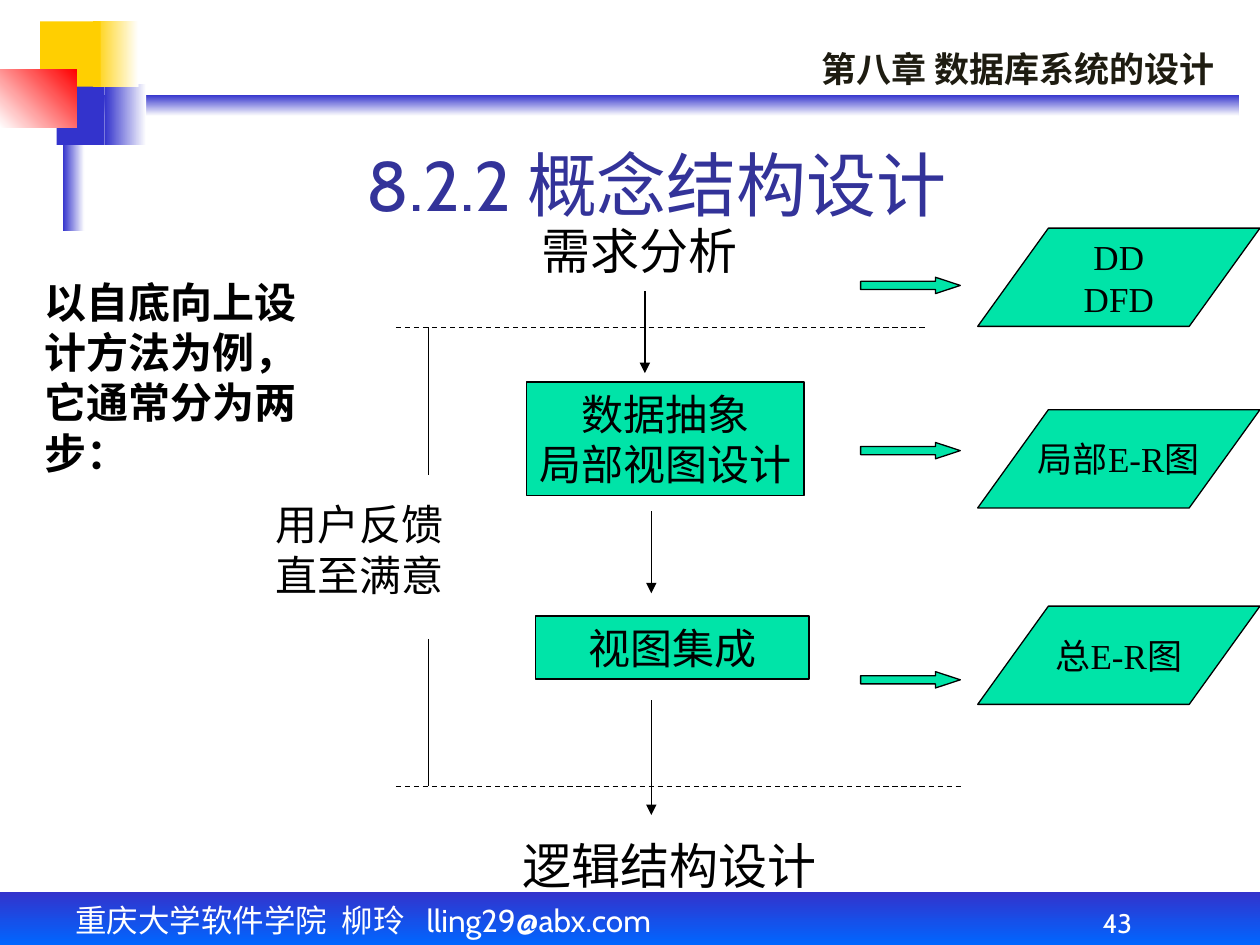
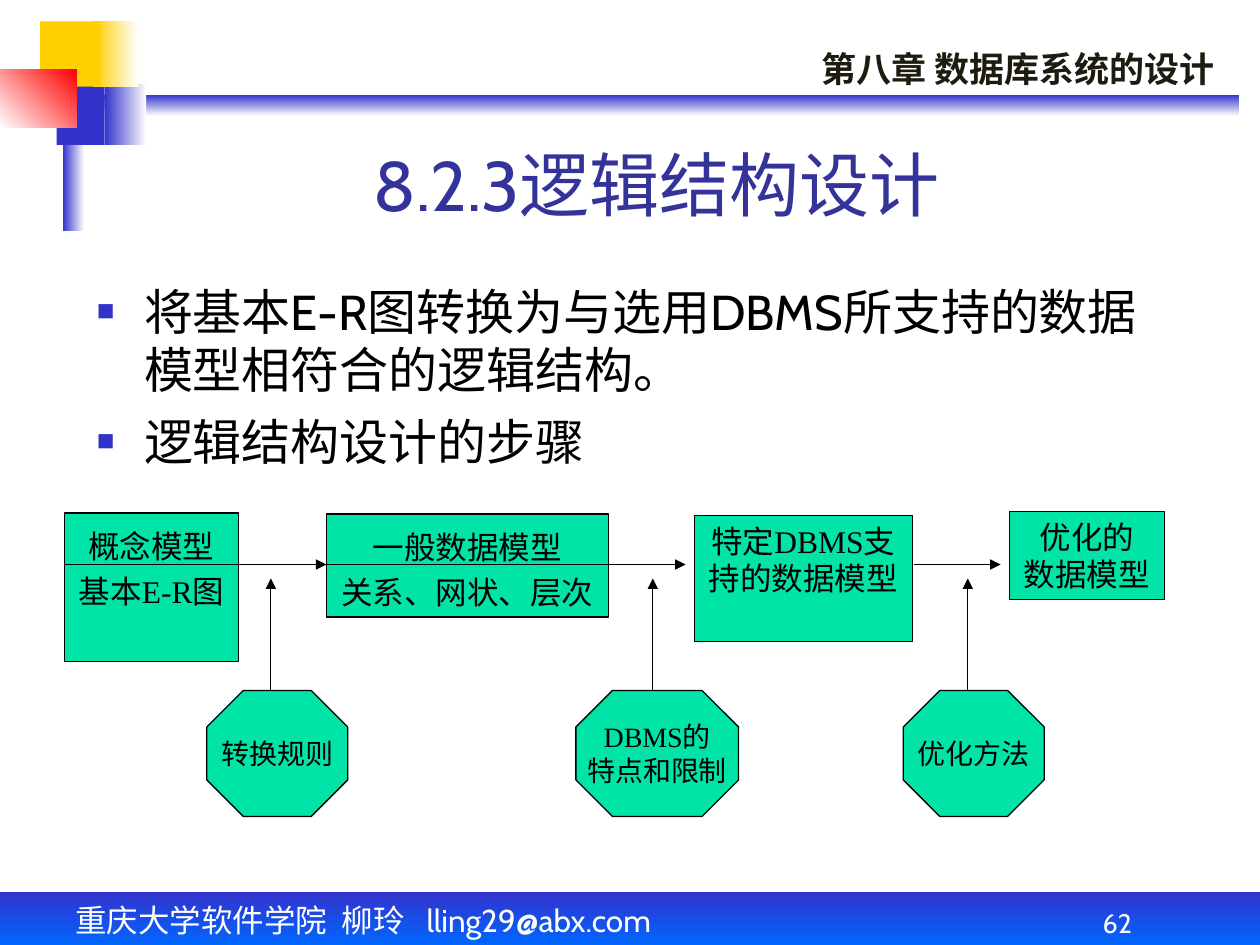
from dataclasses import dataclass

from lxml import etree
from pptx import Presentation
from pptx import util as u
from pptx.dml import color
from pptx.enum import dml, shapes, text
from pptx.oxml import ns

Cm = u.Cm
Kind = shapes.MSO_SHAPE
Align = text.PP_ALIGN
Anchor = text.MSO_ANCHOR


@dataclass(frozen=True)
class Theme:
    blue: str = "3333CC"
    sky: str = "0066FF"
    gold: str = "FFCF01"
    red: str = "FF0000"
    mint: str = "00E4A8"
    white: str = "FFFFFF"
    black: str = "000000"
    navy: str = "333399"
    brown: str = "1E1C11"
    sans: str = "Cabin"
    serif: str = "Times New Roman"
    title: float = 40
    body: float = 28
    step: float = 24
    head: float = 20
    label: float = 18
    small: float = 16
    page: float = 15.3
    hair: float = 0.75


T = Theme()


def rgb(ink):
    return color.RGBColor.from_string(ink)


def node(root, tag, **attrs):
    return etree.SubElement(root, ns.qn(tag), attrs)


def place(item, box):
    item.left, item.top, item.width, item.height = map(Cm, box)


def bullet(para):
    props = para._p.get_or_add_pPr()
    props.set("marL", str(Cm(0.95)))
    props.set("indent", str(-Cm(0.95)))
    node(node(props, "a:buClr"), "a:srgbClr", val=T.blue)
    node(props, "a:buSzPct", val="60000")
    node(props, "a:buChar", char="■")


def tabs(para, stops):
    group = node(para._p.get_or_add_pPr(), "a:tabLst")
    for stop in stops:
        node(group, "a:tab", pos=str(Cm(stop)), algn="l")


def write(item, words, size=T.step, face=T.serif, ink=T.black, bold=False,
          align=Align.LEFT, anchor=Anchor.TOP, wrap=True, lead=None,
          gap=0, mark=False, stops=()):
    frame = item.text_frame
    frame.auto_size = text.MSO_AUTO_SIZE.NONE
    frame.word_wrap = wrap
    frame.vertical_anchor = anchor
    for i, line in enumerate(words.split("\n")):
        para = frame.add_paragraph() if i else frame.paragraphs[0]
        if mark:
            bullet(para)
        if stops:
            tabs(para, stops)
        para.alignment = align
        para.space_before = u.Pt(gap if i else 0)
        if lead:
            para.line_spacing = lead
        run = para.add_run()
        run.text = line
        font = run.font
        font.name, font.size, font.bold = face, u.Pt(size), bold
        font.color.rgb = rgb(ink)


def label(slide, box, words, **form):
    item = slide.shapes.add_textbox(*map(Cm, box))
    write(item, words, **form)
    return item


def shape(slide, kind, box, fill=T.mint, edge=True, adjust=()):
    item = slide.shapes.add_shape(kind, *map(Cm, box))
    item.shadow.inherit = False
    item.fill.solid()
    item.fill.fore_color.rgb = rgb(fill)
    if edge:
        item.line.color.rgb = rgb(T.black)
        item.line.width = u.Pt(T.hair)
    else:
        item.line.fill.background()
    for i, value in enumerate(adjust):
        item.adjustments[i] = value
    return item


def node_box(slide, kind, box, words, adjust=(), **form):
    write(shape(slide, kind, box, adjust=adjust), words,
          align=Align.CENTER, **form)


def fade(slide, box, start, end, angle=0):
    item = shape(slide, Kind.RECTANGLE, box, edge=False)
    item.fill.gradient()
    item.fill.gradient_angle = angle
    for stop, ink in zip(item.fill.gradient_stops, (start, end)):
        stop.color.rgb = rgb(ink)
    return item


def line(slide, x1, y1, x2, y2, arrow=False, dash=False, width=T.hair):
    item = slide.shapes.add_connector(
        shapes.MSO_CONNECTOR.STRAIGHT, *map(Cm, (x1, y1, x2, y2)))
    item.line.color.rgb = rgb(T.black)
    item.line.width = u.Pt(width)
    if dash:
        item.line.dash_style = dml.MSO_LINE.DASH
    props = item.element.spPr
    if arrow:
        node(props.find(ns.qn("a:ln")), "a:tailEnd", type="triangle")
    node(props, "a:effectLst")


def brand(deck, slide):
    rect = Kind.RECTANGLE
    parts = [
        fade(slide, (1.47, 1.91, 23.5, 0.43), T.blue, T.white, 270),
        fade(slide, (2.11, 1.7, 0.84, 1.22), T.blue, T.white),
        fade(slide, (0, 17.98, 25.4, 1.07), T.blue, T.sky, 270),
        fade(slide, (1.27, 1.47, 0.43, 3.18), T.blue, T.white),
        shape(slide, rect, (1.14, 1.7, 0.97, 1.22), T.blue, edge=False),
        fade(slide, (1.88, 0.43, 0.91, 1.32), T.gold, T.white),
        shape(slide, rect, (0.81, 0.43, 1.22, 1.32), T.gold, edge=False),
        fade(slide, (0, 1.4, 1.55, 1.17), T.white, T.red, 45),
        label(slide, (1.27, 18.03, 14.17, 1.02),
              "重庆大学软件学院\t柳玲\tlling29@abx.com", size=T.label,
              face=T.sans, ink=T.white, stops=(5.37, 7.08)),
        label(slide, (16.31, 0.84, 8.69, 1.12), "第八章 数据库系统的设计",
              size=T.head, face=T.sans, ink=T.brown, bold=True),
    ]
    tree = deck.slide_master.shapes.element
    for i, part in enumerate(parts):
        part.element.nvSpPr.cNvPr.set("id", str(100 + i))
        tree.append(part.element)


def start(deck, layout, title, page):
    slide = deck.slides.add_slide(deck.slide_layouts[layout])
    place(slide.shapes.title, (3.18, 2.97, 20.12, 1.7))
    write(slide.shapes.title, title, size=T.title, face=T.sans, ink=T.navy,
          align=Align.CENTER, anchor=Anchor.BOTTOM)
    label(slide, (20.52, 17.98, 4.01, 1.07), page, size=T.page, face=T.sans,
          ink=T.white, align=Align.CENTER, anchor=Anchor.BOTTOM)
    return slide


def concept(slide):
    label(slide, (10.67, 4.32, 4.45, 1.45), "需求分析", size=T.body, wrap=False)
    label(slide, (10.29, 16.71, 6.43, 1.45), "逻辑结构设计",
          size=T.body, wrap=False)
    node_box(slide, Kind.RECTANGLE, (10.62, 7.7, 5.59, 2.29),
             "数据抽象\n局部视图设计", wrap=False)
    node_box(slide, Kind.RECTANGLE, (10.8, 12.42, 5.51, 1.27), "视图集成")
    for x, top, end in ((13, 5.87, 7.52), (13.13, 10.31, 11.96),
                        (13.13, 14.12, 16.43)):
        line(slide, x, top, x, end, arrow=True)
    for y, right in ((6.6, 18.69), (15.85, 19.38)):
        line(slide, 7.98, y, right, y, dash=True)
    label(slide, (5.31, 9.93, 3.89, 2.29), "用户反馈\n直至满意", wrap=False)
    for top, end in ((6.6, 9.58), (12.88, 15.85)):
        line(slide, 8.64, top, 8.64, end)
    for words, y, tip in (("DD\nDFD", 4.6, 5.59), ("局部E-R图", 8.26, 8.92),
                          ("总E-R图", 12.22, 13.54)):
        node_box(slide, Kind.PARALLELOGRAM, (19.71, y, 5.69, 1.98), words,
                 adjust=(0.72,), size=T.head, anchor=Anchor.MIDDLE, wrap=False)
        shape(slide, Kind.RIGHT_ARROW, (17.35, tip, 2.01, 0.33),
              adjust=(0.5, 1.52))
    label(slide, (0.64, 5.44, 5.77, 4.32),
          "以自底向上设计方法为例，它通常分为两步：", face=T.sans, bold=True)


def logic(slide):
    body = slide.placeholders[1]
    place(body, (1.7, 5.54, 22.23, 4.34))
    write(body, "将基本E-R图转换为与选用DBMS所支持的数据模型相符合的逻辑结构。\n"
          "逻辑结构设计的步骤", size=T.body, face=T.sans, gap=7, mark=True)
    for box, words, lead in (
            ((1.3, 10.34, 3.51, 3), "概念模型\n基本E-R图", 1.2),
            ((6.58, 10.36, 5.69, 2.08), "一般数据模型\n关系、网状、层次", 1.2),
            ((14, 10.39, 4.39, 2.54), "特定DBMS支\n持的数据模型", None),
            ((20.35, 10.31, 3.12, 1.78), "优化的\n数据模型", None)):
        node_box(slide, Kind.RECTANGLE, box, words, size=T.label, lead=lead)
    mid = 11.38
    line(slide, 1.3, mid, 4.81, mid, width=1)
    line(slide, 6.43, mid, 12.37, mid)
    for left, right in ((4.81, 6.58), (12.27, 13.82), (18.42, 20.17)):
        line(slide, left, mid, right, mid, arrow=True)
    for left, wide, stem, words in (
            (4.17, 2.84, 5.46, "转换规则"),
            (11.61, 3.28, 13.16, "DBMS的\n特点和限制"),
            (18.21, 2.84, 19.51, "优化方法")):
        node_box(slide, Kind.OCTAGON, (left, 13.92, wide, 2.54), words,
                 adjust=(0.29,), size=T.small, anchor=Anchor.MIDDLE, wrap=False)
        line(slide, stem, 13.92, stem, 11.66, arrow=True)


def main():
    deck = Presentation()
    deck.slide_width, deck.slide_height = Cm(25.4), Cm(19.05)
    first = start(deck, 5, "8.2.2 概念结构设计", "43")
    brand(deck, first)
    concept(first)
    logic(start(deck, 1, "8.2.3逻辑结构设计", "62"))
    deck.save("out.pptx")


if __name__ == "__main__":
    main()
